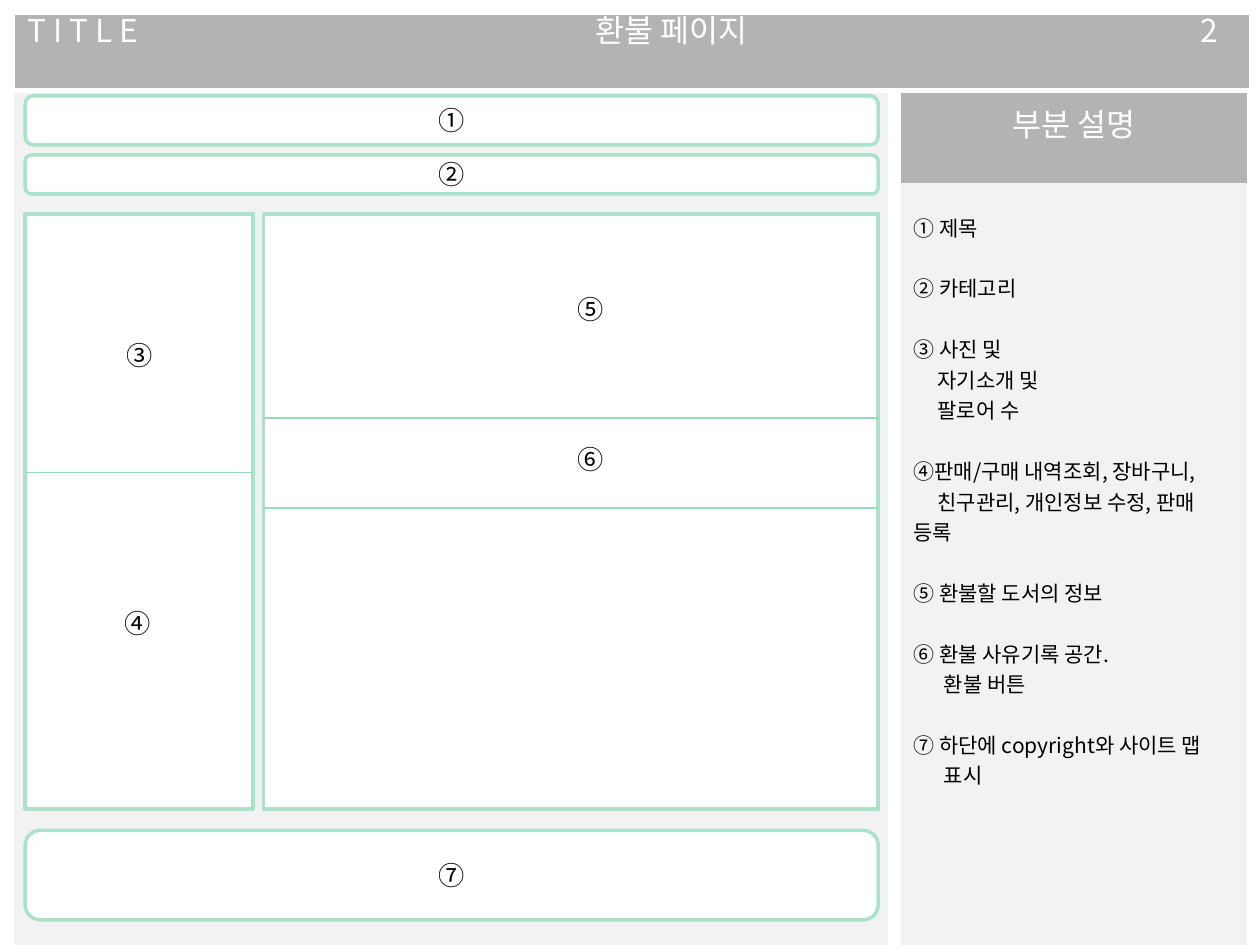
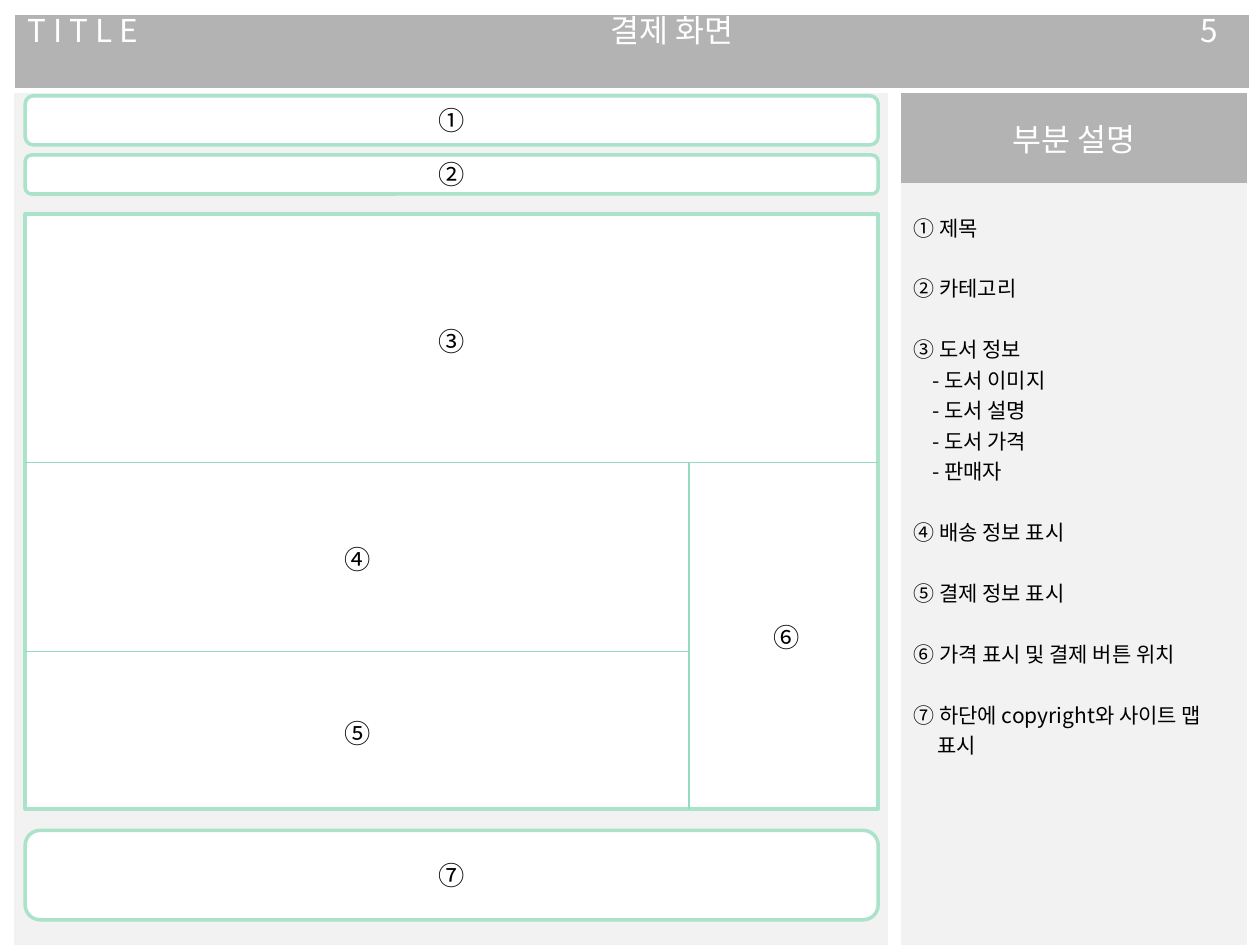
from dataclasses import dataclass

from lxml.etree import SubElement
from pptx import Presentation
from pptx.dml.color import RGBColor
from pptx.enum.shapes import MSO_CONNECTOR, MSO_SHAPE
from pptx.enum.text import MSO_ANCHOR, PP_ALIGN
from pptx.oxml.ns import qn
from pptx.slide import Slide
from pptx.table import Table, _Cell
from pptx.text.text import _Paragraph
from pptx.util import Inches, Pt


@dataclass(frozen=True)
class Theme:
    font: str = "Noto Sans CJK KR"
    white: RGBColor = RGBColor(0xFF, 0xFF, 0xFF)
    black: RGBColor = RGBColor(0, 0, 0)
    band: RGBColor = RGBColor(0xB3, 0xB3, 0xB3)
    panel: RGBColor = RGBColor(0xF2, 0xF2, 0xF2)
    frame: RGBColor = RGBColor(0xAA, 0xE2, 0xCA)
    rule: RGBColor = RGBColor(0x95, 0xDB, 0xBD)
    head: float = 18
    mark: float = 15
    note: float = 12
    gap: float = 17.4
    plain: str = "{2D5ABB26-0587-4C30-8999-92F81FD0307C}"


@dataclass(frozen=True)
class Box:
    left: float
    top: float
    width: float
    height: float
    text: str = ""
    round: bool = False
    below: float = 0.05


@dataclass(frozen=True)
class Mark:
    text: str
    left: float
    top: float
    width: float
    height: float = 0.35


@dataclass(frozen=True)
class Rule:
    x1: float
    y1: float
    x2: float
    y2: float


@dataclass(frozen=True)
class Note:
    text: str
    indent: float = 0


@dataclass(frozen=True)
class Page:
    title: str
    number: str
    anchor: MSO_ANCHOR
    boxes: list[Box]
    rules: list[Rule]
    marks: list[Mark]
    notes: list[Note]


THEME = Theme()
LEFT, RIGHT = 0.2, 6.97
WIDE = RIGHT - LEFT
TOP, TALL = 1.7, 4.72
SPLIT, MIDDLE, SIDE = 2.09, 3.67, 5.47

FRAME = [
    Box(LEFT, 0.76, WIDE, 0.39, "①", True),
    Box(LEFT, 1.23, WIDE, 0.31, "②", True),
    Box(LEFT, 6.59, WIDE, 0.71, "⑦", True),
]
START = [Note("① 제목"), Note("② 카테고리")]
LAST = Note("⑦ 하단에 copyright와 사이트 맵")

PAGES = [
    Page(
        "환불 페이지", "2", MSO_ANCHOR.TOP,
        [Box(LEFT, TOP, 1.81, TALL, "③", below=2.53),
         Box(SPLIT, TOP, RIGHT - SPLIT, TALL)],
        [Rule(LEFT, 3.75, 2.01, 3.75),
         Rule(SPLIT, 3.32, RIGHT, 3.32),
         Rule(SPLIT, 4.03, RIGHT, 4.03)],
        [Mark("④", 0.74, 4.77, 0.71, 0.6),
         Mark("⑤", 4.25, 2.28, 0.87),
         Mark("⑥", 4.41, 3.47, 0.55)],
        START + [
            Note("③ 사진 및"),
            Note("자기소개 및", 0.19),
            Note("팔로어 수", 0.19),
            Note("④판매/구매 내역조회, 장바구니,"),
            Note("친구관리, 개인정보 수정, 판매 등록", 0.19),
            Note("⑤ 환불할 도서의 정보"),
            Note("⑥ 환불 사유기록 공간."),
            Note("환불 버튼", 0.24),
            LAST,
            Note("표시", 0.24),
        ],
    ),
    Page(
        "결제 화면", "5", MSO_ANCHOR.MIDDLE,
        [Box(LEFT, TOP, WIDE, TALL)],
        [Rule(LEFT, MIDDLE, RIGHT, MIDDLE),
         Rule(LEFT, 5.17, SIDE, 5.17),
         Rule(SIDE, MIDDLE, SIDE, TOP + TALL)],
        [Mark("③", 3.11, 2.53, 0.95),
         Mark("④", 2.4, 4.26, 0.87),
         Mark("⑤", 2.4, 5.64, 0.87),
         Mark("⑥", 5.81, 4.88, 0.87)],
        START + [
            Note("③ 도서 정보"),
            Note("- 도서 이미지", 0.15),
            Note("- 도서 설명", 0.15),
            Note("- 도서 가격", 0.15),
            Note("- 판매자", 0.15),
            Note("④ 배송 정보 표시"),
            Note("⑤ 결제 정보 표시"),
            Note("⑥ 가격 표시 및 결제 버튼 위치"),
            LAST,
            Note("표시", 0.19),
        ],
    ),
]


def write(line: _Paragraph, text: str, size: float, color: RGBColor,
          align: PP_ALIGN = PP_ALIGN.CENTER) -> None:
    line.text = text
    line.alignment = align
    font = line.font
    font.name, font.size = THEME.font, Pt(size)
    font.color.rgb = color
    props = line._p.pPr.find(qn("a:defRPr"))
    SubElement(props, qn("a:ea"), typeface=THEME.font)


def paint(cell: _Cell, color: RGBColor) -> None:
    cell.fill.solid()
    cell.fill.fore_color.rgb = color


def add_grid(slide: Slide, left: float, top: float, cols: list[float],
             rows: list[float]) -> Table:
    frame = slide.shapes.add_table(
        len(rows), len(cols), Inches(left), Inches(top),
        Inches(sum(cols)), Inches(sum(rows)))
    table = frame.table
    table.first_row = table.horz_banding = False
    table._tbl.tblPr.find(qn("a:tableStyleId")).text = THEME.plain
    for col, width in zip(table.columns, cols):
        col.width = Inches(width)
    for row, height in zip(table.rows, rows):
        row.height = Inches(height)
    return table


def add_band(slide: Slide, page: Page) -> None:
    table = add_grid(slide, 0.12, 0.12, [1.26, 7.9, 0.63], [0.58])
    for col, text in enumerate(("T I T L E", page.title, page.number)):
        cell = table.cell(0, col)
        paint(cell, THEME.band)
        line = cell.text_frame.paragraphs[0]
        write(line, text, THEME.head, THEME.white,
              PP_ALIGN.CENTER if col else PP_ALIGN.LEFT)
        line.line_spacing = 0.58


def add_notes(slide: Slide, page: Page) -> None:
    table = add_grid(slide, 7.15, 0.74, [2.75], [0.71, 6.29])
    head, body = table.cell(0, 0), table.cell(1, 0)
    paint(head, THEME.band)
    paint(body, THEME.panel)
    head.vertical_anchor = page.anchor
    write(head.text_frame.paragraphs[0], "부분 설명", THEME.head, THEME.white)
    body.margin_top = Inches(0.23)
    frame = body.text_frame
    for index, note in enumerate(page.notes):
        line = frame.add_paragraph() if index else frame.paragraphs[0]
        write(line, note.text, THEME.note, THEME.black, PP_ALIGN.LEFT)
        if note.indent:
            props = line._p.pPr
            props.set("marL", "0")
            props.set("indent", str(Inches(note.indent)))
        elif index:
            line.space_before = Pt(THEME.gap)


def add_box(slide: Slide, box: Box) -> None:
    kind = MSO_SHAPE.ROUNDED_RECTANGLE if box.round else MSO_SHAPE.RECTANGLE
    shape = slide.shapes.add_shape(
        kind, Inches(box.left), Inches(box.top),
        Inches(box.width), Inches(box.height))
    shape.shadow.inherit = False
    shape.fill.solid()
    shape.fill.fore_color.rgb = THEME.white
    shape.line.color.rgb = THEME.frame
    shape.line.width = Pt(2)
    if box.text:
        frame = shape.text_frame
        frame.vertical_anchor = MSO_ANCHOR.MIDDLE
        frame.margin_bottom = Inches(box.below)
        write(frame.paragraphs[0], box.text, THEME.mark, THEME.black)


def add_rule(slide: Slide, rule: Rule) -> None:
    line = slide.shapes.add_connector(
        MSO_CONNECTOR.STRAIGHT, Inches(rule.x1), Inches(rule.y1),
        Inches(rule.x2), Inches(rule.y2))
    line.line.color.rgb = THEME.rule
    line.line.width = Pt(1)
    SubElement(line._element.spPr, qn("a:effectLst"))


def add_mark(slide: Slide, mark: Mark) -> None:
    frame = slide.shapes.add_textbox(
        Inches(mark.left), Inches(mark.top),
        Inches(mark.width), Inches(mark.height)).text_frame
    frame.word_wrap = True
    write(frame.paragraphs[0], mark.text, THEME.mark, THEME.black)


def main() -> None:
    deck = Presentation()
    deck.slide_width, deck.slide_height = Inches(10), Inches(7.5)
    blank = deck.slide_layouts.get_by_name("Blank")
    for page in PAGES:
        slide = deck.slides.add_slide(blank)
        add_band(slide, page)
        add_notes(slide, page)
        paint(add_grid(slide, 0.11, 0.74, [6.94], [6.79]).cell(0, 0),
              THEME.panel)
        for box in FRAME + page.boxes:
            add_box(slide, box)
        for rule in page.rules:
            add_rule(slide, rule)
        for mark in page.marks:
            add_mark(slide, mark)
    deck.save("out.pptx")


if __name__ == "__main__":
    main()
